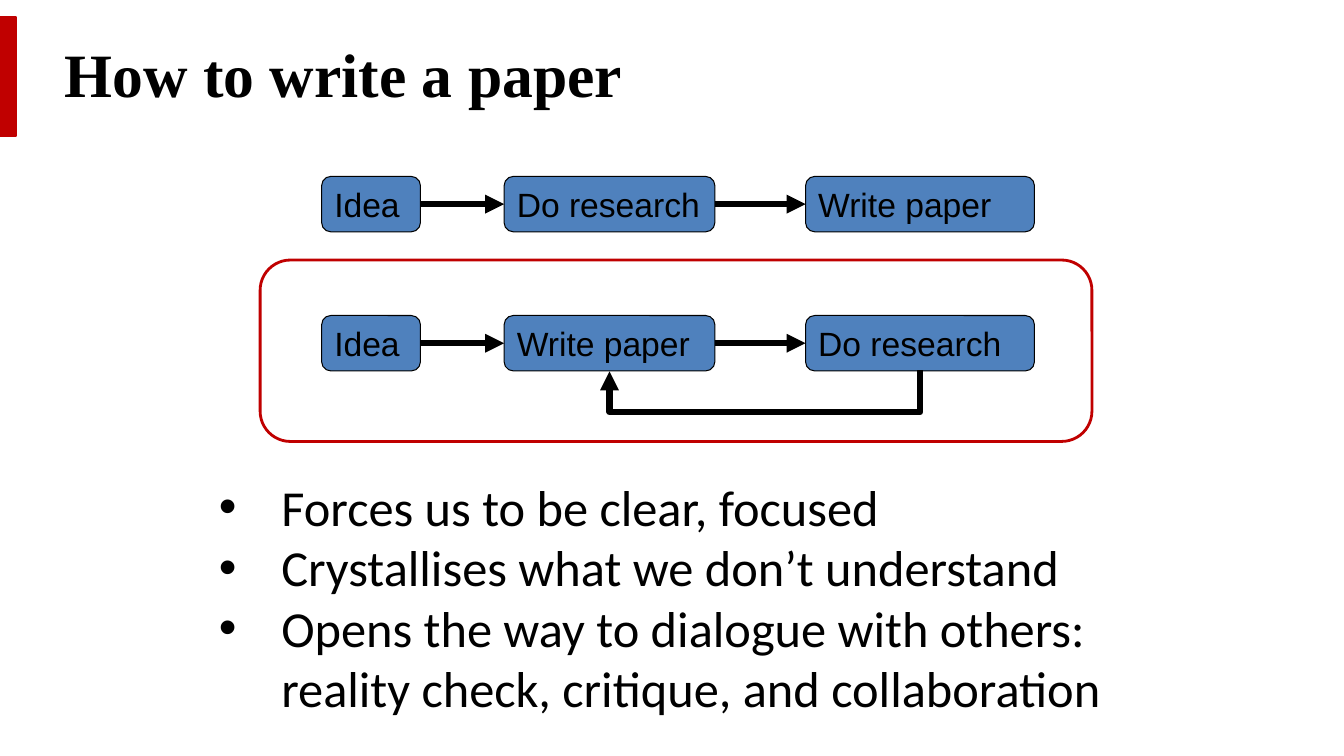
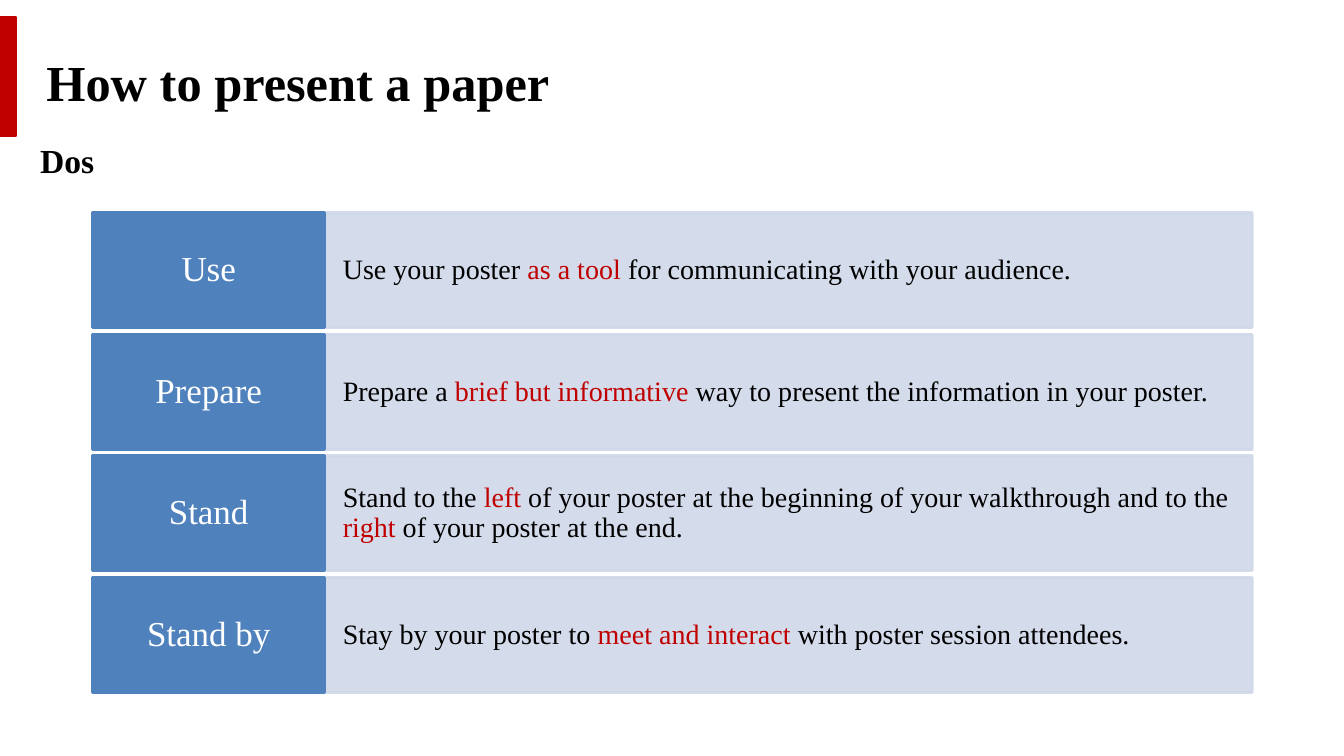
"""Build two slides on writing and presenting a paper."""
import pptx
import pptx.util
import pptx.dml.color
import pptx.enum.shapes
import pptx.enum.text
import pptx.oxml.ns
import pptx.oxml.xmlchemy

PX = 9144
HUE = {"red": "C00000", "blue": "4F81BD", "pale": "D0D8E8", "black": "000000", "white": "FFFFFF"}
SERIF, SANS, BODY = "Times New Roman", "Arial", "Calibri"
KIND = pptx.enum.shapes.MSO_SHAPE
LINK = pptx.enum.shapes.MSO_CONNECTOR
ALIGN = pptx.enum.text.PP_ALIGN
ANCHOR = pptx.enum.text.MSO_ANCHOR

BAND = (0, 17, 16, 118)
WRITE = {"title": "How to write a paper", "at": (64, 35, 769, 75), "size": 44}
SHOW = {"title": "How to present a paper", "at": (46, 50, 925, 62), "size": 36}

STEPS = [(319, 98), (500, 209), (799, 227)]
STEP_H = 55
FLOWS = [(175, ("Idea", "Do research", "Write paper")),
         (313, ("Idea", "Write paper", "Do research"))]
FRAME = (258, 258, 825, 180)
DROP = 42
POINTS = ["Forces us to be clear, focused",
          "Crystallises what we don’t understand",
          "Opens the way to dialogue with others: reality check, critique, and collaboration"]
POINTS_AT = (217, 472, 900, 242)
INDENT = 62

DOS_AT = (30, 134, 667, 50)
ROW_TOP, ROW_H, PITCH = 211, 114, 120.67
KEY_X, KEY_W, NOTE_W = 92, 230, 920
ROWS = [
    ("Use", ("Use your poster ", "as a tool ", "for communicating with your audience.")),
    ("Prepare", ("Prepare a ", "brief but informative ",
                 "way to present the information in your poster.")),
    ("Stand", ("Stand to the ", "left",
               " of your poster at the beginning of your walkthrough and to the ",
               "right", " of your poster at the end.")),
    ("Stand by", ("Stay by your poster to ", "meet and interact ",
                  "with poster session attendees.")),
]


def px(*vals):
    return [pptx.util.Emu(round(v * PX)) for v in vals]


def rgb(name):
    return pptx.dml.color.RGBColor.from_string(HUE[name])


def node(tag, **attrs):
    item = pptx.oxml.xmlchemy.OxmlElement(tag)
    for key, val in attrs.items():
        item.set(key, val)
    return item


def write(shape, paras, size, font=SERIF, hue="black", bold=False, align=ALIGN.LEFT,
          anchor=ANCHOR.TOP, pad=(10, 5, 10, 5), lead=1.0, before=0):
    """Fill a shape with paragraphs of runs; every second run is red."""
    frame = shape.text_frame
    frame.word_wrap = True
    frame.auto_size = pptx.enum.text.MSO_AUTO_SIZE.NONE
    frame.vertical_anchor = anchor
    (frame.margin_left, frame.margin_top,
     frame.margin_right, frame.margin_bottom) = px(*pad)
    for i, runs in enumerate(paras):
        para = frame.add_paragraph() if i else frame.paragraphs[0]
        para.alignment = align
        para.line_spacing = lead
        para.space_before = pptx.util.Pt(before)
        for j, text in enumerate(runs):
            run = para.add_run()
            run.text = text
            run.font.name, run.font.bold = font, bold
            run.font.size = pptx.util.Pt(size)
            run.font.color.rgb = rgb("red" if j % 2 else hue)


def place(shape, box):
    shape.left, shape.top, shape.width, shape.height = px(*box)


def draw(slide, kind, box, fill, line, width):
    shape = slide.shapes.add_shape(kind, *px(*box))
    shape.shadow.inherit = False
    if fill:
        shape.fill.solid()
        shape.fill.fore_color.rgb = rgb(fill)
    else:
        shape.fill.background()
    shape.line.color.rgb = rgb(line)
    shape.line.width = pptx.util.Pt(width)
    return shape


def fade(shape, part):
    for tint in shape._element.spPr.iter(pptx.oxml.ns.qn("a:srgbClr")):
        tint.append(node("a:alpha", val=str(part * 1000)))


def arrow(slide, kind, start, end):
    link = slide.shapes.add_connector(kind, *px(*start, *end))
    link.line.color.rgb = rgb("black")
    link.line.width = pptx.util.Pt(4.5)
    link.line._get_or_add_ln().append(node("a:tailEnd", type="triangle"))
    link._element.spPr.append(node("a:effectLst"))
    return link


def loop(slide, right, left, base):
    """Draw an arrow that leaves downwards at right and comes back up at left."""
    mid, half = (left + right) // 2, (right - left) // 2
    link = arrow(slide, LINK.ELBOW, (mid, base - half), (mid + 1, base + half))
    shape = link._element.spPr
    shape.find(pptx.oxml.ns.qn("a:xfrm")).set("rot", str(90 * 60000))
    geom = shape.find(pptx.oxml.ns.qn("a:prstGeom"))
    bend = node("a:gd", name="adj1", fmla=f"val {DROP * 100000}")
    geom.find(pptx.oxml.ns.qn("a:avLst")).append(bend)


def start(deck, layout, head):
    slide = deck.slides.add_slide(deck.slide_layouts[layout])
    draw(slide, KIND.RECTANGLE, BAND, "red", "red", 1)
    title = slide.shapes.title
    place(title, head["at"])
    write(title, [[head["title"]]], head["size"], bold=True, pad=(0, 1, 0, 0), before=1)
    return slide


def flow(slide, top, names):
    boxes = []
    for (left, width), name in zip(STEPS, names):
        box = draw(slide, KIND.ROUNDED_RECTANGLE, (left, top, width, STEP_H), "blue", "black", 0.75)
        write(box, [[name]], 24, font=SANS, anchor=ANCHOR.MIDDLE)
        boxes.append(box)
    for one, two in zip(boxes, boxes[1:]):
        link = arrow(slide, LINK.STRAIGHT, (0, 0), (1, 1))
        link.begin_connect(one, 3)
        link.end_connect(two, 1)


def write_slide(deck):
    slide = start(deck, 1, WRITE)
    draw(slide, KIND.ROUNDED_RECTANGLE, FRAME, None, "red", 2)
    for top, names in FLOWS:
        flow(slide, top, names)
    left, right = (x + w // 2 for x, w in STEPS[1:])
    loop(slide, right, left, FLOWS[1][0] + STEP_H)
    body = slide.placeholders[1]
    place(body, POINTS_AT)
    write(body, [[point] for point in POINTS], 36, font=BODY, pad=(0, 0, 0, 0))
    for para in body.text_frame.paragraphs:
        props = para._p.get_or_add_pPr()
        props.set("marL", str(INDENT * PX))
        props.set("indent", str(-INDENT * PX))


def show_slide(deck):
    slide = start(deck, 5, SHOW)
    dos = slide.shapes.add_textbox(*px(*DOS_AT))
    write(dos, [["Dos"]], 24, bold=True)
    for i, (key, note) in enumerate(ROWS):
        top = round(ROW_TOP + i * PITCH)
        pane = draw(slide, KIND.RECTANGLE, (KEY_X + KEY_W, top, NOTE_W, ROW_H), "pale", "pale", 2)
        fade(pane, 90)
        write(pane, [note], 20, anchor=ANCHOR.MIDDLE, pad=(18, 29, 18, 29), lead=0.9)
        tab = draw(slide, KIND.RECTANGLE, (KEY_X, top, KEY_W, ROW_H), "blue", "blue", 2)
        write(tab, [[key]], 25, hue="white", align=ALIGN.CENTER, anchor=ANCHOR.MIDDLE,
              pad=(12, 11, 12, 11), lead=0.9)


def main():
    deck = pptx.Presentation()
    deck.slide_width = pptx.util.Inches(13.33)
    deck.slide_height = pptx.util.Inches(7.5)
    write_slide(deck)
    show_slide(deck)
    deck.save("out.pptx")


if __name__ == "__main__":
    main()
